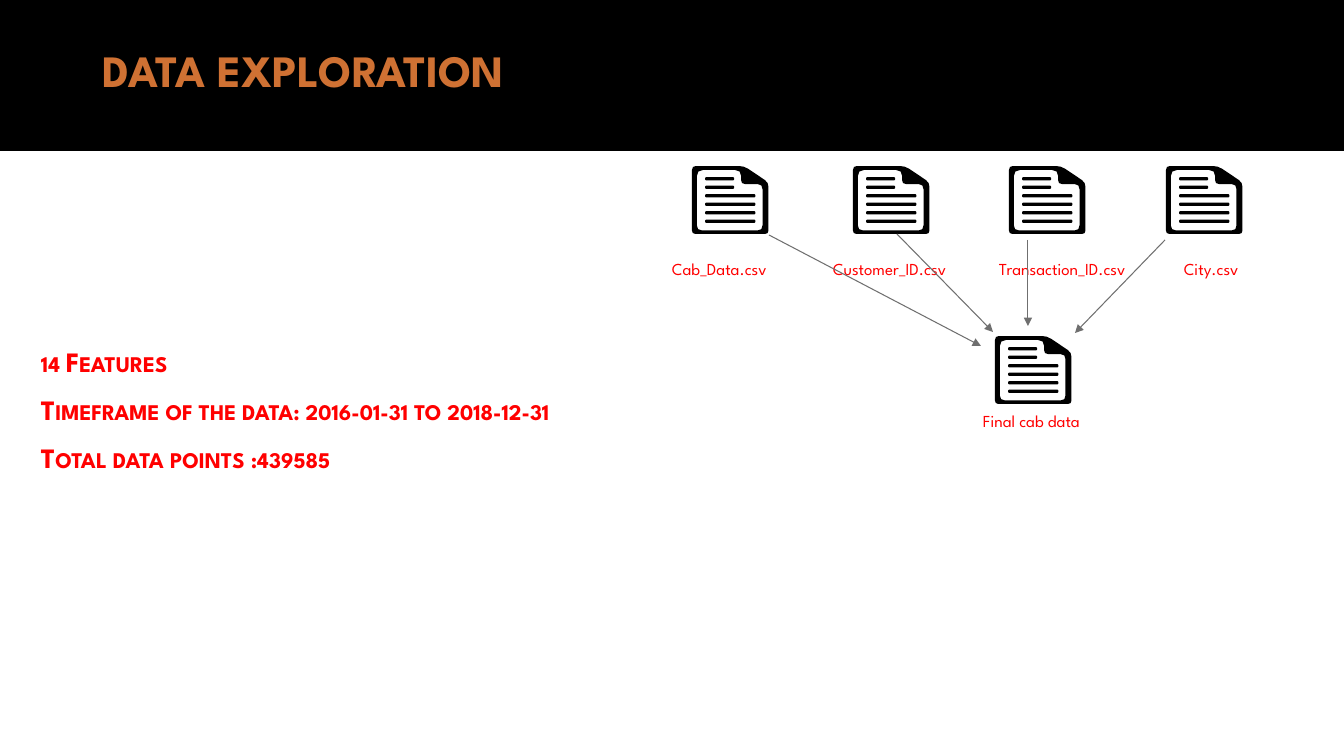
from math import dist

from lxml.etree import SubElement
from pptx import Presentation
from pptx.dml.color import RGBColor
from pptx.enum.shapes import MSO_CONNECTOR
from pptx.enum.text import MSO_ANCHOR, MSO_AUTO_SIZE, PP_ALIGN
from pptx.oxml.ns import qn
from pptx.util import Emu, Pt

TITLE = "DATA EXPLORATION"
FACTS = [
    "14 Features",
    "Timeframe of the data: 2016-01-31 to 2018-12-31",
    "Total data points :439585",
]
FILES = [
    {"name": "Cab_Data.csv", "icon": (692, 166), "label": (662, 254, 141, 30)},
    {"name": "Customer_ID.csv", "icon": (853, 166), "label": (823, 254, 161, 30)},
    {"name": "Transaction_ID.csv", "icon": (1009, 166), "label": (989, 254, 176, 30)},
    {"name": "City.csv", "icon": (1166, 166), "label": (1174, 254, 87, 30)},
    {"name": "Final cab data", "icon": (995, 336), "label": (973, 406, 142, 61)},
]
ARROWS = [
    (769, 235, 981, 346),
    (897, 234, 993, 332),
    (1028, 240, 1028, 326),
    (1165, 240, 1075, 333),
]

PAGE_EDGE = [(0, 0, 40), (520, 0, 50), (766, 165, 45), (766, 680, 35), (0, 680, 35)]
PAGE_INSIDE = [
    (50, 40, 60), (492, 40, 60), (492, 181, 40),
    (706, 181, 50), (706, 645, 50), (50, 645, 50),
]
TEXT_LINE_ENDS = [423, 423, 635, 635, 635, 635]
TEXT_LINE_LEFT, TEXT_LINE_TOP, TEXT_LINE_STEP = 131, 111, 85
TEXT_LINE_HEIGHT, TEXT_LINE_RADIUS = 34, 10
ICON_UNITS_PER_PX = 10

EMU_PER_PX = 914400 / 100.8
FONT = "League Spartan"
BLACK = RGBColor(0x00, 0x00, 0x00)
WHITE = RGBColor(0xFF, 0xFF, 0xFF)
RED = RGBColor(0xFF, 0x00, 0x00)
ORANGE = RGBColor(0xCF, 0x71, 0x33)
GRAY = RGBColor(0x6F, 0x6F, 0x6F)


def px(length):
    return Emu(round(length * EMU_PER_PX))


def place(shape, left, top, width, height):
    shape.left, shape.top = px(left), px(top)
    shape.width, shape.height = px(width), px(height)


def write(frame, lines, size, color, bold=False, small_caps=False, left=10, top=5,
          anchor=MSO_ANCHOR.TOP, line_spacing=None, space_after=0, bullet_indent=0):
    frame.word_wrap = True
    frame.auto_size = MSO_AUTO_SIZE.NONE
    frame.vertical_anchor = anchor
    frame.margin_left, frame.margin_right = px(left), px(10)
    frame.margin_top, frame.margin_bottom = px(top), px(5)
    for index, line in enumerate(lines):
        paragraph = frame.paragraphs[0] if index == 0 else frame.add_paragraph()
        paragraph.alignment = PP_ALIGN.LEFT
        paragraph.space_before, paragraph.space_after = Pt(0), Pt(space_after)
        if line_spacing:
            paragraph.line_spacing = Pt(line_spacing)
        if bullet_indent:
            properties = paragraph._p.get_or_add_pPr()
            properties.set("marL", str(px(bullet_indent)))
            properties.set("indent", str(-px(bullet_indent)))
            bullet_color = SubElement(properties, qn("a:buClr"))
            SubElement(bullet_color, qn("a:srgbClr"), val=str(WHITE))
            SubElement(properties, qn("a:buChar"), char="•")
        run = paragraph.add_run()
        run.text = line
        run.font.name, run.font.size = FONT, Pt(size)
        run.font.bold, run.font.color.rgb = bold, color
        if small_caps:
            run._r.get_or_add_rPr().set("cap", "small")


def round_corners(corners, steps):
    points = []
    for index, (x, y, radius) in enumerate(corners):
        ends = []
        for neighbor in (corners[index - 1], corners[(index + 1) % len(corners)]):
            share = radius / dist((x, y), neighbor[:2])
            ends.append((x + (neighbor[0] - x) * share, y + (neighbor[1] - y) * share))
        for step in range(steps + 1):
            t = step / steps
            points.append(tuple(
                round((1 - t) ** 2 * start + 2 * t * (1 - t) * middle + t ** 2 * end)
                for start, middle, end in zip(ends[0], (x, y), ends[1])
            ))
    return points


def document_contours():
    contours = [round_corners(corners, 2) for corners in (PAGE_EDGE, PAGE_INSIDE)]
    for row, right in enumerate(TEXT_LINE_ENDS):
        top = TEXT_LINE_TOP + row * TEXT_LINE_STEP
        bottom = top + TEXT_LINE_HEIGHT
        corners = [(TEXT_LINE_LEFT, top), (right, top), (right, bottom), (TEXT_LINE_LEFT, bottom)]
        contours.append(round_corners([(x, y, TEXT_LINE_RADIUS) for x, y in corners], 1))
    return contours


def add_document_icon(slide, left, top):
    first, *others = document_contours()
    builder = slide.shapes.build_freeform(*first[0], scale=EMU_PER_PX / ICON_UNITS_PER_PX)
    builder.add_line_segments(first[1:], close=True)
    for contour in others:
        builder.move_to(*contour[0])
        builder.add_line_segments(contour[1:], close=True)
    icon = builder.convert_to_shape(px(left), px(top))
    icon.shadow.inherit = False
    icon.fill.solid()
    icon.fill.fore_color.rgb = BLACK
    icon.line.fill.background()


def add_arrow(slide, *ends):
    arrow = slide.shapes.add_connector(MSO_CONNECTOR.STRAIGHT, *map(px, ends))
    arrow.line.color.rgb = GRAY
    arrow.line.width = Pt(0.75)
    SubElement(arrow.line._get_or_add_ln(), qn("a:tailEnd"), type="triangle")
    SubElement(arrow._element.spPr, qn("a:effectLst"))


def main():
    presentation = Presentation()
    presentation.slide_width, presentation.slide_height = px(1344), px(756)
    slide = presentation.slides.add_slide(presentation.slide_layouts[1])
    slide.background.fill.solid()
    slide.background.fill.fore_color.rgb = BLACK

    title, body = slide.placeholders
    place(title, 0, 0, 1344, 140)
    write(title.text_frame, [TITLE], 32, ORANGE, bold=True, left=103,
          anchor=MSO_ANCHOR.MIDDLE)
    place(body, 0, 151, 1344, 605)
    body.fill.solid()
    body.fill.fore_color.rgb = WHITE
    write(body.text_frame, FACTS, 20, RED, bold=True, small_caps=True, top=194,
          line_spacing=24, space_after=10, bullet_indent=31)

    for file in FILES:
        add_document_icon(slide, *file["icon"])
        label = slide.shapes.add_textbox(*map(px, file["label"]))
        write(label.text_frame, [file["name"]], 12, RED)
    for arrow in ARROWS:
        add_arrow(slide, *arrow)

    presentation.save("out.pptx")


if __name__ == "__main__":
    main()
